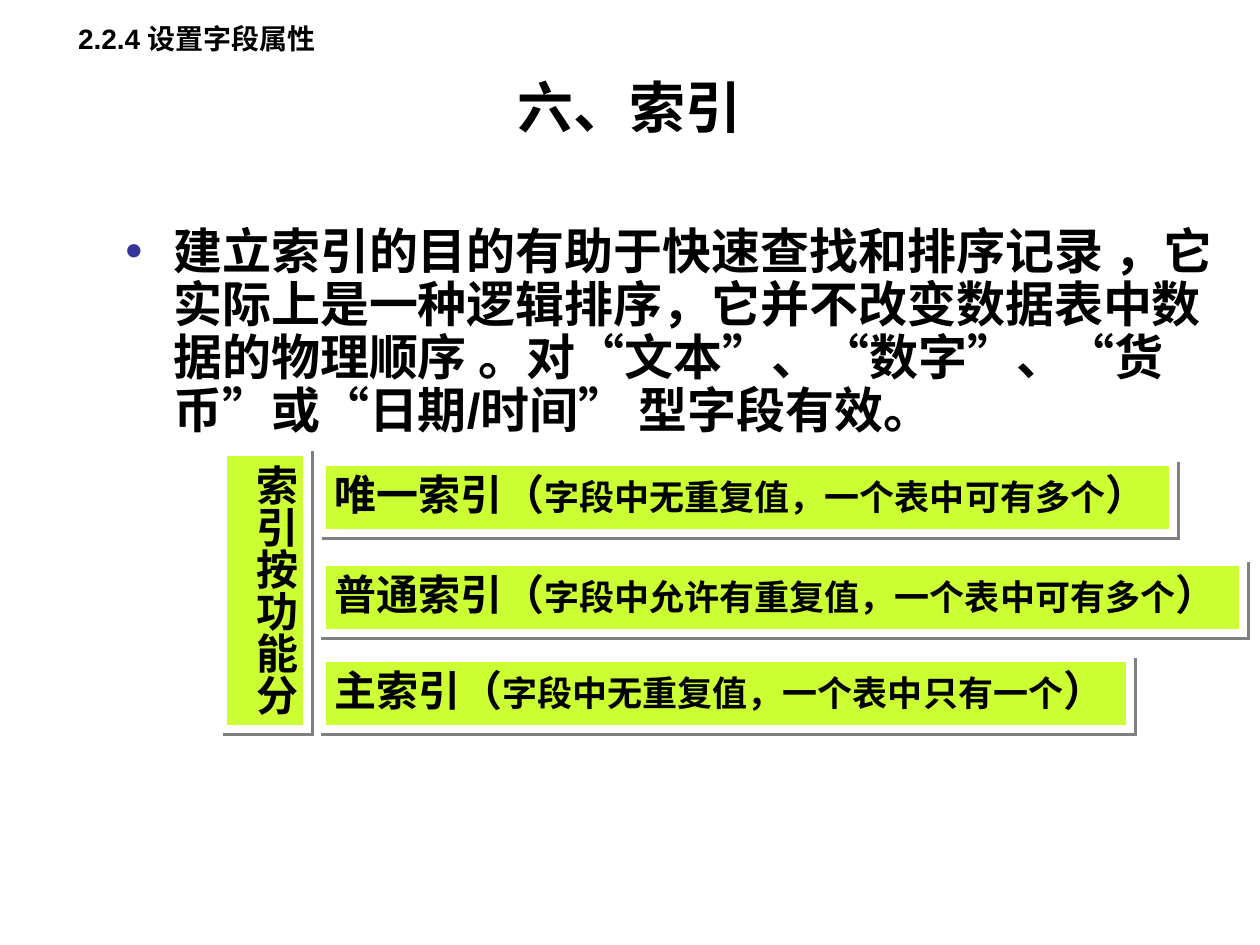
"""Build the slide on field indexes and the three kinds of index."""
from lxml.etree import SubElement
from pptx import Presentation
from pptx.dml.color import RGBColor
from pptx.enum.lang import MSO_LANGUAGE_ID
from pptx.enum.shapes import MSO_SHAPE
from pptx.enum.text import MSO_ANCHOR, MSO_AUTO_SIZE, PP_ALIGN
from pptx.oxml.ns import qn
from pptx.util import Pt

PX = 914400 // 126
COLORS = {"text": "000000", "bullet": "333399", "box": "CCFF33",
          "edge": "FFFFFF", "shadow": "808080"}


def write(sp, runs, frame, para):
    tf = sp.text_frame
    for name, value in frame.items():
        setattr(tf, name, value)
    p = tf.paragraphs[0]
    for name, value in para.items():
        setattr(p, name, value)
    for text, size in runs:
        r = p.add_run()
        r.text = text
        font = {"name": "Arial", "size": Pt(size), "bold": True,
                "language_id": MSO_LANGUAGE_ID.SIMPLIFIED_CHINESE}
        for name, value in font.items():
            setattr(r.font, name, value)
        r.font.color.rgb = RGBColor.from_string(COLORS["text"])
    return p


def add_box(s, box):
    sp = s.shapes.add_shape(MSO_SHAPE.RECTANGLE, *[v * PX for v in box])
    sp.shadow.inherit = False
    sp.fill.solid()
    sp.fill.fore_color.rgb = RGBColor.from_string(COLORS["box"])
    sp.line.color.rgb = RGBColor.from_string(COLORS["edge"])
    sp.line.width = Pt(4.5)
    SubElement(sp._element.spPr.find(qn("a:ln")), qn("a:miter"), lim="800000")
    effects = sp._element.spPr.find(qn("a:effectLst"))
    shadow = SubElement(effects, qn("a:outerShdw"), dist=str(Pt(2.8)),
                        dir="2700000", algn="ctr", rotWithShape="0")
    SubElement(shadow, qn("a:srgbClr"), val=COLORS["shadow"])
    return sp


prs = Presentation()
prs.slide_width, prs.slide_height = 1260 * PX, 945 * PX
s = prs.slides.add_slide(prs.slide_layouts[6])

centred = {"alignment": PP_ALIGN.CENTER}
middle = {"word_wrap": True, "vertical_anchor": MSO_ANCHOR.MIDDLE}
top = {"word_wrap": True, "vertical_anchor": MSO_ANCHOR.TOP}
purpose = ("建立索引的目的有助于快速查找和排序记录 \uff0c它实际上是一种逻辑排序\uff0c"
           "它并不改变数据表中数据的物理顺序 。对“文本”、“数字”、“货币”或“日期/时间” 型字段有效。")
texts = [
    ((63, 58, 1134, 97), [("六、索引", 32)], middle, centred),
    ((113, 221, 1114, 242), [(purpose, 28)], top,
     {"line_spacing": 0.9, "space_before": Pt(5.6)}),
    ((64, 0, 280, 48), [("2.2.4 设置字段属性", 16), (" ", 36)], middle, centred),
]
paragraphs = []
for box, runs, frame, para in texts:
    sp = s.shapes.add_textbox(*[v * PX for v in box])
    paragraphs.append(write(sp, runs, frame, para))

pPr = paragraphs[1]._p.get_or_add_pPr()
pPr.set("marL", str(48 * PX))
pPr.set("indent", str(-48 * PX))
color = SubElement(pPr, qn("a:buClr"))
SubElement(color, qn("a:srgbClr"), val=COLORS["bullet"])
SubElement(pPr, qn("a:buFont"), typeface="Arial")
SubElement(pPr, qn("a:buChar"), char="•")

left = {"alignment": PP_ALIGN.LEFT}
grow = {"vertical_anchor": MSO_ANCHOR.TOP,
        "auto_size": MSO_AUTO_SIZE.SHAPE_TO_FIT_TEXT}
sp = add_box(s, (223, 452, 84, 277))
write(sp, [("索引按功能分", 24)], {**grow, "word_wrap": True}, left)
sp.text_frame._txBody.bodyPr.set("vert", "eaVert")

kinds = [
    (462, 851, "唯一索引", "字段中无重复值\uff0c一个表中可有多个"),
    (562, 921, "普通索引", "字段中允许有重复值\uff0c一个表中可有多个"),
    (658, 808, "主索引", "字段中无重复值\uff0c一个表中只有一个"),
]
for y, width, kind, rule in kinds:
    sp = add_box(s, (322, y, width, 71))
    write(sp, [(kind + "\uff08", 24), (rule, 20), ("\uff09", 24)],
          {**grow, "word_wrap": False}, left)

prs.save("out.pptx")
